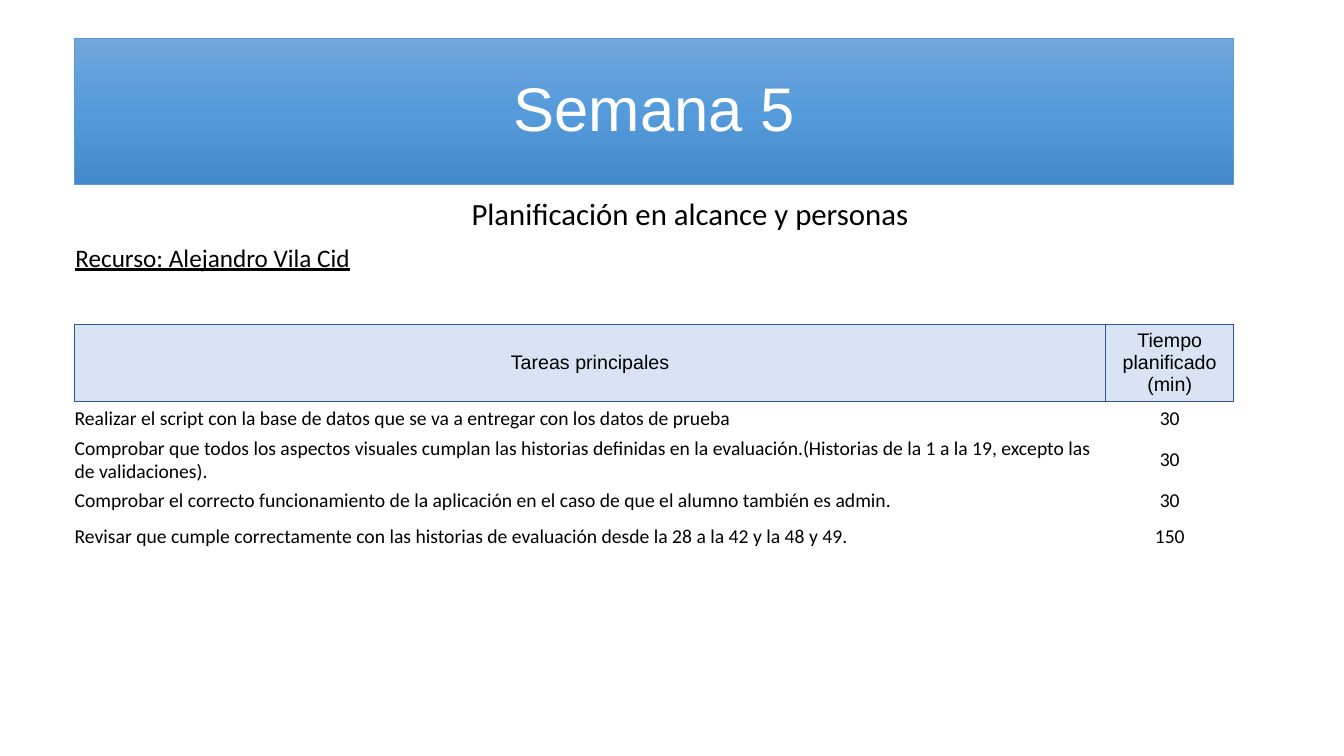
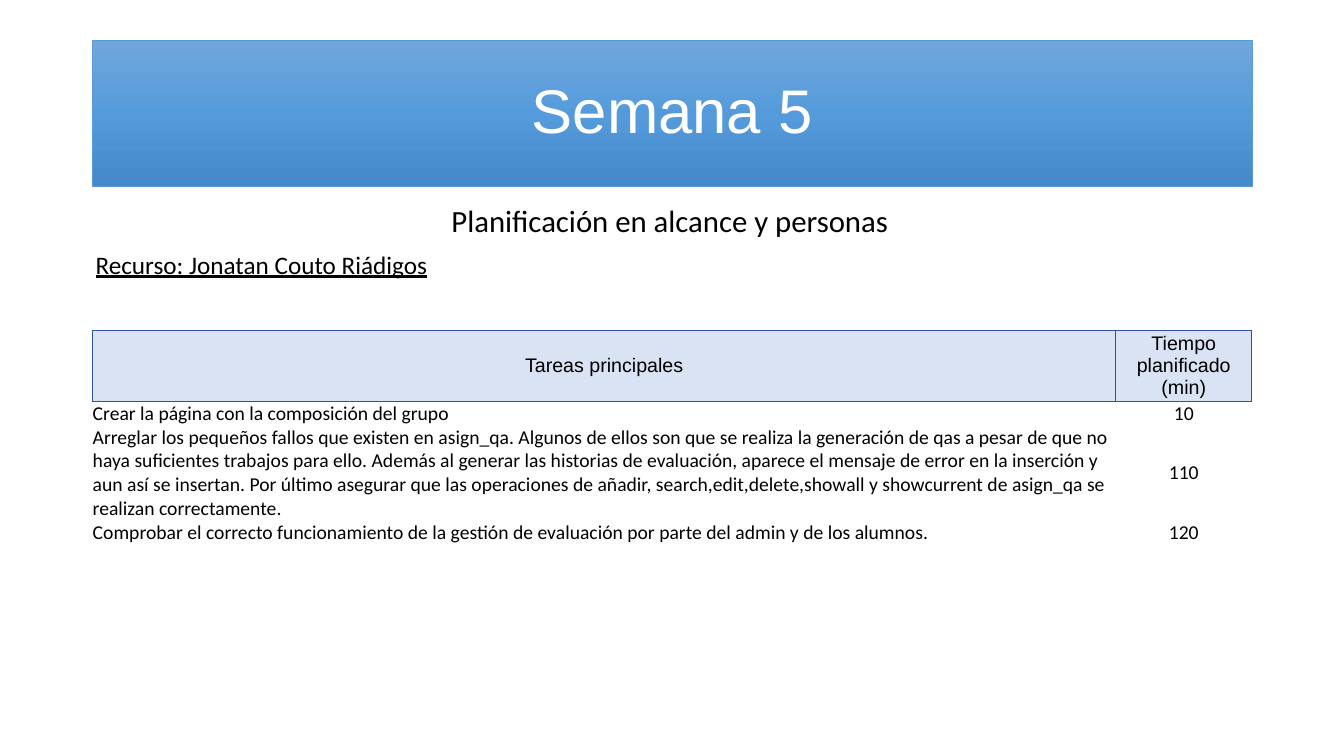
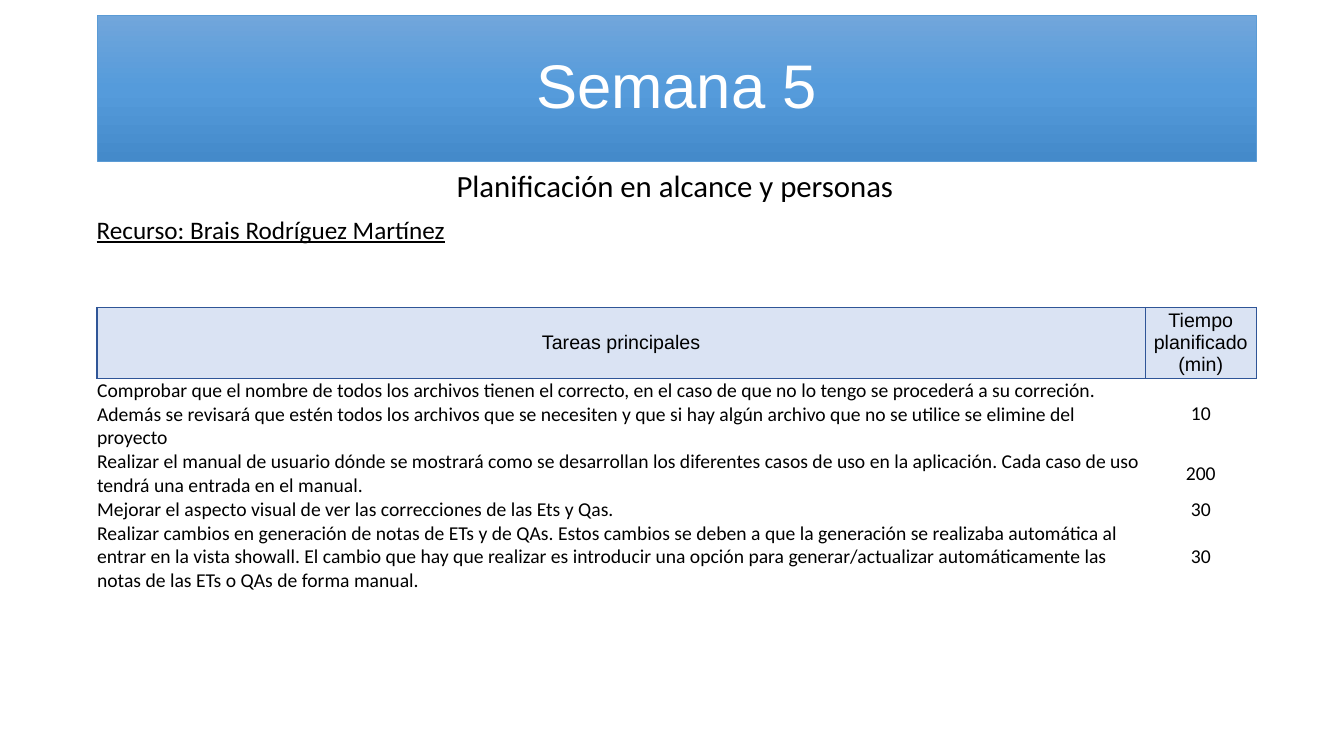
from lxml.etree import SubElement
from copy import deepcopy
from pptx import Presentation
from pptx.dml.color import RGBColor
from pptx.enum.text import MSO_ANCHOR, PP_ALIGN
from pptx.oxml.ns import qn
from pptx.util import Inches, Pt

COLORS = {
    "band_top": "71A6DB", "band_middle": "559BDB", "band_bottom": "448ACA",
    "band_edge": "5B9BD5", "title": "FFFFFF", "text": "000000",
    "header": "DAE3F3", "border": "2F5597",
}
FORMATS = {
    "title": {"name": "Arial", "size": Pt(44)},
    "subtitle": {"name": "Calibri", "size": Pt(22)},
    "resource": {"name": "Calibri", "size": Pt(18), "underline": True},
    "header": {"name": "Arial", "size": Pt(14)},
    "task": {"name": "Calibri", "size": Pt(14)},
}
NO_TABLE_STYLE = "{2D5ABB26-0587-4C30-8999-92F81FD0307C}"
CONTENT_WIDTH = 86.25  # percent of the slide width
HEADINGS = ("Tareas principales", "Tiempo planificado (min)")


def rgb(key):
    return RGBColor.from_string(COLORS[key])


class WeekDeck:
    """Holds the style and the current slide; lengths are percent of the slide."""

    def __init__(self):
        self.deck = Presentation()
        self.deck.slide_width, self.deck.slide_height = Inches(13.33), Inches(7.5)
        self.slide = None

    def x(self, share):
        return round(self.deck.slide_width * share / 100)

    def y(self, share):
        return round(self.deck.slide_height * share / 100)

    def add_slide(self):
        self.slide = self.deck.slides.add_slide(self.deck.slide_layouts[5])

    def put_text(self, frame, text, style, align=PP_ALIGN.LEFT):
        paragraph = frame.paragraphs[0]
        paragraph.alignment = align
        run = paragraph.add_run()
        run.text = text
        for attribute, value in FORMATS[style].items():
            setattr(run.font, attribute, value)
        run.font.color.rgb = rgb("title" if style == "title" else "text")
        return paragraph

    def title_band(self, text, left, top):
        band = self.slide.shapes.title
        place = {"left": self.x(left), "top": self.y(top),
                 "width": self.x(CONTENT_WIDTH), "height": self.y(19.33)}
        for attribute, value in place.items():
            setattr(band, attribute, value)
        # Three-stop gradient running downwards
        band.fill.gradient()
        band.fill.gradient_angle = 270
        stops = band._element.spPr.find(qn("a:gradFill")).find(qn("a:gsLst"))
        stops.insert(1, deepcopy(stops[0]))
        shades = ("band_top", "band_middle", "band_bottom")
        for index, (stop, shade) in enumerate(zip(band.fill.gradient_stops, shades)):
            stop.position = index / 2
            stop.color.rgb = rgb(shade)
        band.line.color.rgb = rgb("band_edge")
        band.line.width = Pt(0.5)
        band.text_frame.vertical_anchor = MSO_ANCHOR.MIDDLE
        self.put_text(band.text_frame, text, "title", PP_ALIGN.CENTER).line_spacing = 0.9

    def label(self, text, style, left, top, width, height):
        box = self.slide.shapes.add_textbox(
            self.x(left), self.y(top), self.x(width), self.y(height))
        box.text_frame.word_wrap = True
        self.put_text(box.text_frame, text, style)

    def outline(self, cell):
        properties = cell._tc.get_or_add_tcPr()
        for index, side in enumerate(("lnL", "lnR", "lnT", "lnB")):
            line = SubElement(properties, qn(f"a:{side}"), w=str(Pt(1)))
            fill = SubElement(line, qn("a:solidFill"))
            SubElement(fill, qn("a:srgbClr"), val=COLORS["border"])
            properties.insert(index, line)

    def task_table(self, tasks, left, top, time_width, row_heights):
        rows = [HEADINGS, *tasks]
        frame = self.slide.shapes.add_table(
            len(rows), 2, self.x(left), self.y(top),
            self.x(CONTENT_WIDTH), self.y(sum(row_heights)))
        table = frame.table
        table._tbl.tblPr.find(qn("a:tableStyleId")).text = NO_TABLE_STYLE
        table.first_row = table.horz_banding = False
        for column, width in zip(table.columns, (CONTENT_WIDTH - time_width, time_width)):
            column.width = self.x(width)
        for r, (texts, height) in enumerate(zip(rows, row_heights)):
            table.rows[r].height = self.y(height)
            for c, text in enumerate(texts):
                cell = table.cell(r, c)
                for side in ("left", "right", "top", "bottom"):
                    setattr(cell, f"margin_{side}", 0)
                cell.vertical_anchor = MSO_ANCHOR.MIDDLE
                is_header = r == 0
                centred = is_header or c == 1
                self.put_text(cell.text_frame, text, "header" if is_header else "task",
                              PP_ALIGN.CENTER if centred else PP_ALIGN.LEFT)
                if is_header:
                    cell.fill.solid()
                    cell.fill.fore_color.rgb = rgb("header")
                    self.outline(cell)
                else:
                    cell.fill.background()

    def week_plan(self, person, band, subtitle, resource_left, table_top,
                  time_width, row_heights, tasks):
        self.add_slide()
        self.title_band("Semana 5", *band)
        self.label("Planificación en alcance y personas", "subtitle",
                   *subtitle, 34.3, 6.27)
        self.label(f"Recurso: {person}", "resource",
                   resource_left, subtitle[1] + 6.27, 27.5, 5.33)
        self.task_table(tasks, band[0], table_top, time_width, row_heights)


# One entry per person; positions are percent of the slide
PLANS = [
    {
        "person": "Alejandro Vila Cid",
        "band": (5.55, 5.07), "subtitle": (34.35, 25.07), "resource_left": 4.87,
        "table_top": 42.93, "time_width": 9.53,
        "row_heights": (10.13, 4.67, 6.3, 4.53, 4.93),
        "tasks": [
            ("Realizar el script con la base de datos que se va a entregar con los "
             "datos de prueba", "30"),
            ("Comprobar que todos los aspectos visuales cumplan las historias "
             "definidas en la evaluación.(Historias de la 1 a la 19, excepto las de "
             "validaciones).", "30"),
            ("Comprobar el correcto funcionamiento de la aplicación en el caso de "
             "que el alumno también es admin.", "30"),
            ("Revisar que cumple correctamente con las historias de evaluación desde "
             "la 28 a la 42 y la 48 y 49.", "150"),
        ],
    },
    {
        "person": "Jonatan Couto Riádigos",
        "band": (6.9, 5.33), "subtitle": (32.85, 26), "resource_left": 6.37,
        "table_top": 43.73, "time_width": 10.13,
        "row_heights": (9.4, 3.15, 12.6, 3.15),
        "tasks": [
            ("Crear la página con la composición del grupo", "10"),
            ("Arreglar los pequeños fallos que existen en asign_qa. Algunos de ellos "
             "son que se realiza la generación de qas a pesar de que no haya "
             "suficientes trabajos para ello. Además al generar las historias de "
             "evaluación, aparece el mensaje de error en la inserción y aun así se "
             "insertan. Por último asegurar que las operaciones de añadir, "
             "search,edit,delete,showall y showcurrent de asign_qa se realizan "
             "correctamente.", "110"),
            ("Comprobar el correcto funcionamiento de la gestión de evaluación por "
             "parte del admin y de los alumnos.", "120"),
        ],
    },
    {
        "person": "Brais Rodríguez Martínez",
        "band": (7.22, 2.03), "subtitle": (33.23, 21.4), "resource_left": 6.45,
        "table_top": 40.67, "time_width": 8.25,
        "row_heights": (9.4, 9.45, 6.3, 3.15, 9.45),
        "tasks": [
            ("Comprobar que el nombre de todos los archivos tienen el correcto, en "
             "el caso de que no lo tengo se procederá a su correción. Además se "
             "revisará que estén todos los archivos que se necesiten y que si hay "
             "algún archivo que no se utilice se elimine del proyecto", "10"),
            ("Realizar el manual de usuario dónde se mostrará como se desarrollan "
             "los diferentes casos de uso en la aplicación. Cada caso de uso tendrá "
             "una entrada en el manual.", "200"),
            ("Mejorar el aspecto visual de ver las correcciones de las Ets y Qas.",
             "30"),
            ("Realizar cambios en generación de notas de ETs y de QAs. Estos cambios "
             "se deben a que la generación se realizaba automática al entrar en la "
             "vista showall. El cambio que hay que realizar es introducir una opción "
             "para generar/actualizar automáticamente las notas de las ETs o QAs de "
             "forma manual.", "30"),
        ],
    },
]


def main():
    week = WeekDeck()
    for plan in PLANS:
        week.week_plan(**plan)
    week.deck.save("out.pptx")


if __name__ == "__main__":
    main()
